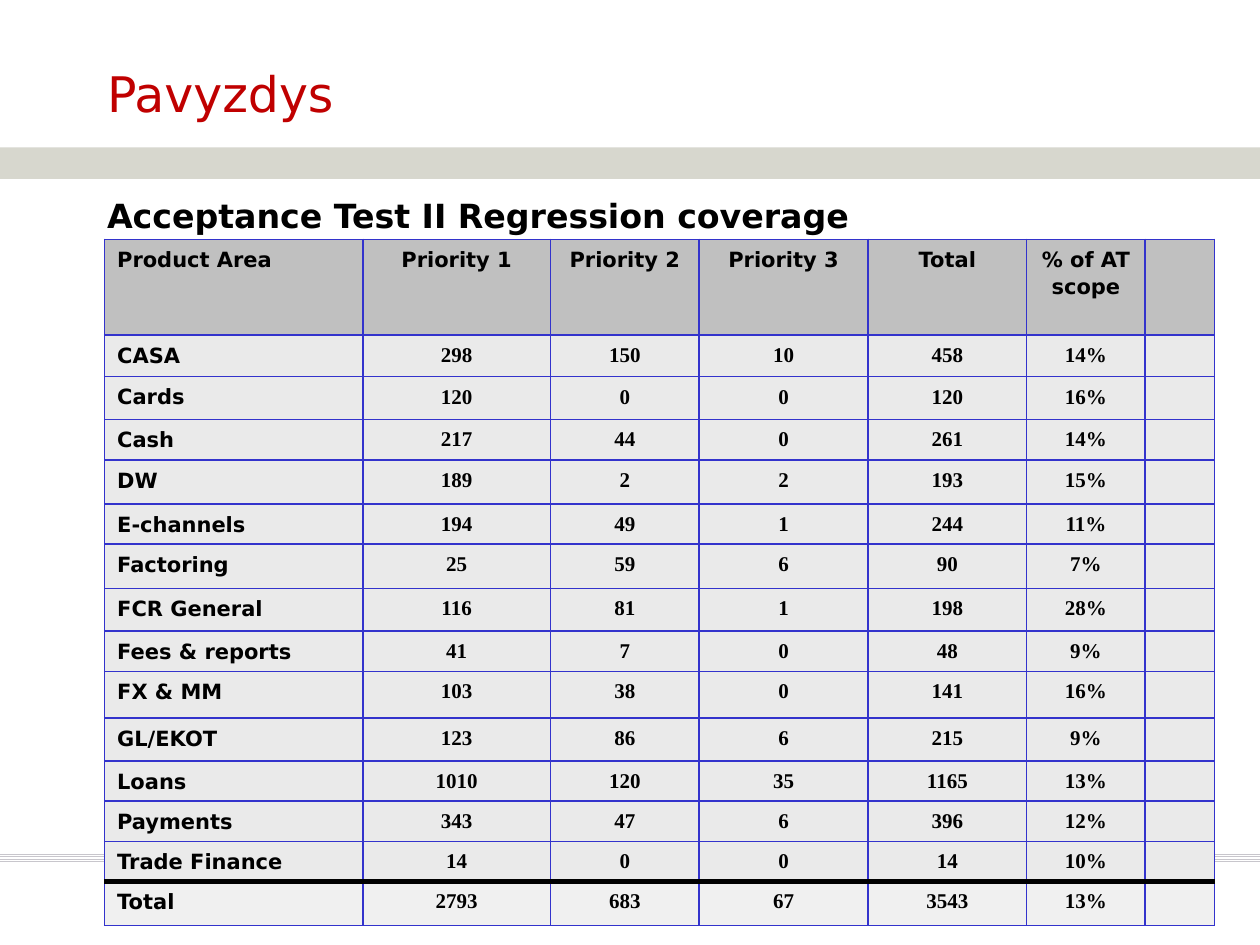
from lxml import etree
from pptx import Presentation
from pptx.dml.color import RGBColor
from pptx.enum.shapes import MSO_CONNECTOR, MSO_SHAPE
from pptx.enum.text import MSO_ANCHOR, MSO_AUTO_SIZE, PP_ALIGN
from pptx.oxml import parse_xml
from pptx.oxml.ns import nsdecls, qn
from pptx.util import Inches, Pt


def color(value):
    """Turn a hex string into a colour."""
    return RGBColor.from_string(value)


class SlideBuilder:
    """Hold the style and the current slide."""

    SANS = "DejaVu Sans"
    SERIF = "Times New Roman"
    BLACK = "000000"
    RED = "C00000"
    GRID = "3333CC"
    RULE = "C8C6CC"
    BAND = "D7D7CE"
    HEADER = "C0C0C0"
    BODY = "EAEAEA"
    TOTAL = "F0F0F0"

    def __init__(self, slide):
        """Keep the slide to draw on."""
        self.slide = slide

    def style(self, paragraph, size, font=SANS, fill=BLACK, bold=False,
              align=PP_ALIGN.LEFT):
        """Format a paragraph and its runs."""
        paragraph.alignment = align
        for run in paragraph.runs:
            run.font.size = Pt(size)
            run.font.name = font
            run.font.bold = bold
            run.font.color.rgb = color(fill)

    def placeholder(self, index, text, left, top, width, height, anchor, **style):
        """Move, fill and format a template placeholder."""
        shape = self.slide.placeholders[index]
        shape.left, shape.top = Inches(left), Inches(top)
        shape.width, shape.height = Inches(width), Inches(height)
        frame = shape.text_frame
        frame.text = text
        frame.word_wrap = True
        frame.auto_size = MSO_AUTO_SIZE.NONE
        frame.vertical_anchor = anchor
        paragraph = frame.paragraphs[0]
        paragraph.space_before = Pt(0)
        self.style(paragraph, **style)
        return paragraph

    def title(self, text):
        """Write the slide title."""
        self.placeholder(0, text, 0.75, 0.32, 8.5, 0.83, MSO_ANCHOR.MIDDLE,
                         size=28, fill=self.RED)

    def subtitle(self, text):
        """Write the heading above the table, without a bullet."""
        paragraph = self.placeholder(1, text, 0.75, 1.47, 8.82, 0.47,
                                     MSO_ANCHOR.TOP, size=19, bold=True)
        paragraph.line_spacing = 1.1
        properties = paragraph._p.get_or_add_pPr()
        properties.set("marL", str(Inches(0.38)))
        properties.set("indent", str(Inches(-0.38)))
        etree.SubElement(properties, qn("a:buNone"))

    def band(self, top, height):
        """Draw a plain band across the slide."""
        shape = self.slide.shapes.add_shape(
            MSO_SHAPE.RECTANGLE, 0, Inches(top), Inches(10), Inches(height))
        shape.shadow.inherit = False
        shape.fill.solid()
        shape.fill.fore_color.rgb = color(self.BAND)
        shape.line.fill.background()

    def rule(self, top):
        """Draw a thin line across the slide."""
        line = self.slide.shapes.add_connector(
            MSO_CONNECTOR.STRAIGHT, 0, Inches(top), Inches(10), Inches(top))
        line.line.color.rgb = color(self.RULE)
        line.line.width = Pt(0.5)
        etree.SubElement(line._element.spPr, qn("a:effectLst"))

    def borders(self, cell, heavy_side):
        """Outline a cell, with one side optionally heavy and black."""
        properties = cell._tc.get_or_add_tcPr()
        for position, side in enumerate("LRTB"):
            heavy = side == heavy_side
            properties.insert(position, parse_xml(
                f'<a:ln{side} {nsdecls("a")} w="{Pt(3 if heavy else 1)}"><a:solidFill>'
                f'<a:srgbClr val="{self.BLACK if heavy else self.GRID}"/>'
                f'</a:solidFill></a:ln{side}>'))

    def cell(self, cell, text, fill, font, align, heavy_side):
        """Fill, outline and write one table cell."""
        cell.fill.solid()
        cell.fill.fore_color.rgb = color(fill)
        self.borders(cell, heavy_side)
        paragraph = cell.text_frame.paragraphs[0]
        if text:
            paragraph.text = text
            paragraph.line_spacing = 1.1
            self.style(paragraph, 12, font, bold=True, align=align)
        else:
            etree.SubElement(paragraph._p, qn("a:endParaRPr"), sz="1200")

    def table(self, left, top, widths, heights, rows):
        """Draw a table with a header row and a total row."""
        table = self.slide.shapes.add_table(
            len(rows), len(widths), Inches(left), Inches(top),
            Inches(sum(widths)), Inches(sum(heights))).table
        for column, width in zip(table.columns, widths):
            column.width = Inches(width)
        last = len(rows) - 1
        fills = {0: self.HEADER, last: self.TOTAL}
        heavy_sides = {last - 1: "B", last: "T"}
        for r, (values, height) in enumerate(zip(rows, heights)):
            table.rows[r].height = Inches(height)
            for c, text in enumerate(values):
                self.cell(table.cell(r, c), text, fills.get(r, self.BODY),
                          self.SANS if r == 0 or c == 0 else self.SERIF,
                          PP_ALIGN.CENTER if c else PP_ALIGN.LEFT,
                          heavy_sides.get(r))


COLUMN_WIDTHS = [2.05, 1.49, 1.18, 1.34, 1.26, 0.94, 0.55]
ROW_HEIGHTS = [0.76, 0.33, 0.34, 0.32, 0.35, 0.32, 0.35, 0.34, 0.32, 0.37,
               0.34, 0.32, 0.32, 0.32, 0.35]
COVERAGE = [
    ["Product Area", "Priority 1", "Priority 2", "Priority 3", "Total",
     "% of AT scope", ""],
    ["CASA", "298", "150", "10", "458", "14%", ""],
    ["Cards", "120", "0", "0", "120", "16%", ""],
    ["Cash", "217", "44", "0", "261", "14%", ""],
    ["DW", "189", "2", "2", "193", "15%", ""],
    ["E-channels", "194", "49", "1", "244", "11%", ""],
    ["Factoring", "25", "59", "6", "90", "7%", ""],
    ["FCR General", "116", "81", "1", "198", "28%", ""],
    ["Fees & reports", "41", "7", "0", "48", "9%", ""],
    ["FX & MM", "103", "38", "0", "141", "16%", ""],
    ["GL/EKOT", "123", "86", "6", "215", "9%", ""],
    ["Loans", "1010", "120", "35", "1165", "13%", ""],
    ["Payments", "343", "47", "6", "396", "12%", ""],
    ["Trade Finance", "14", "0", "0", "14", "10%", ""],
    ["Total", "2793", "683", "67", "3543", "13%", ""],
]

presentation = Presentation()
presentation.slide_width, presentation.slide_height = Inches(10), Inches(7.5)
builder = SlideBuilder(presentation.slides.add_slide(presentation.slide_layouts[1]))
for number in range(4):
    builder.rule(6.78 + 0.02 * number)
builder.band(1.17, 0.25)
builder.title("Pavyzdys")
builder.subtitle("Acceptance Test II Regression coverage")
builder.table(0.83, 1.9, COLUMN_WIDTHS, ROW_HEIGHTS, COVERAGE)
presentation.save("out.pptx")
